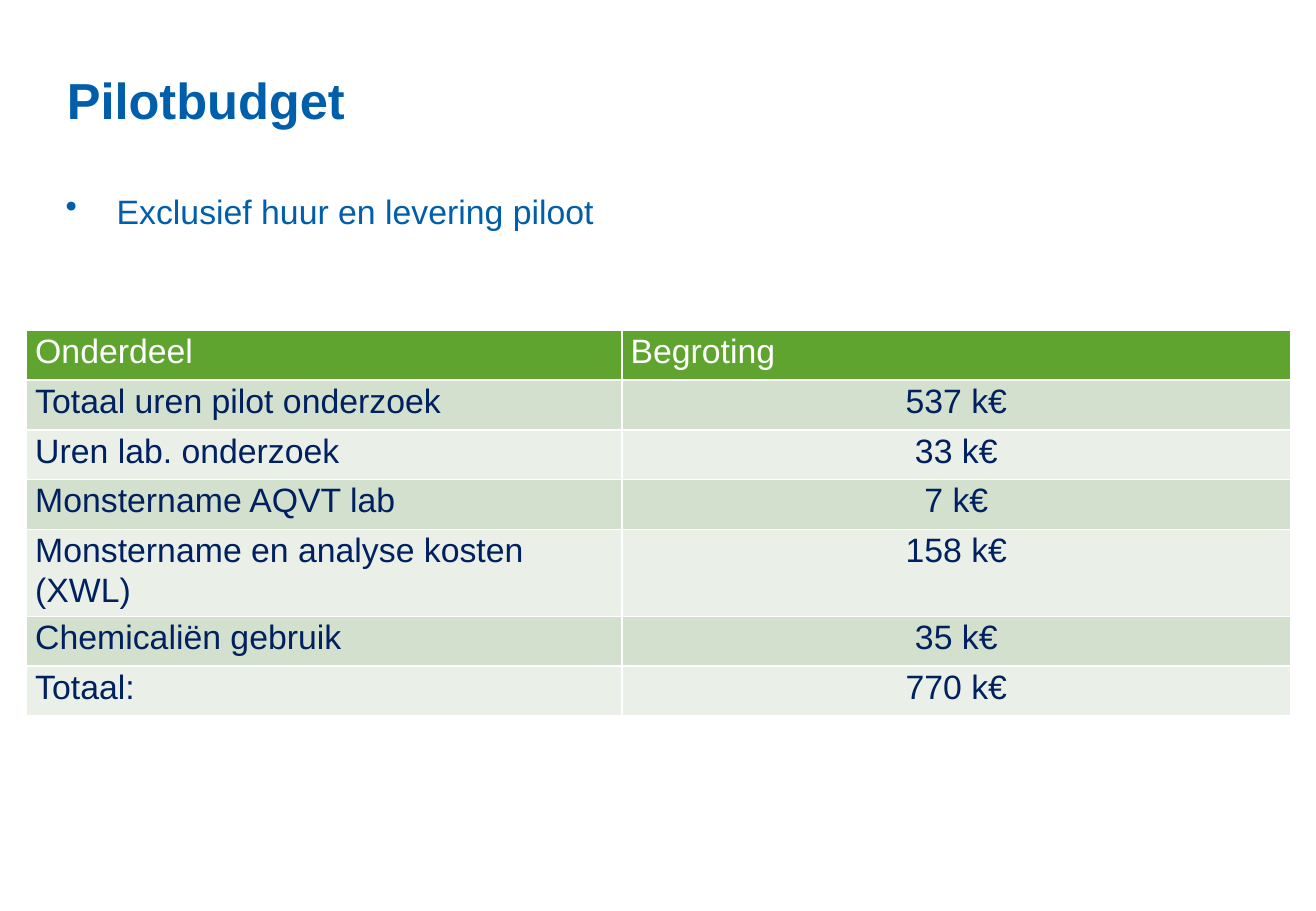
from dataclasses import dataclass

from pptx import Presentation
from pptx.dml.color import RGBColor as RGB
from pptx.enum.text import MSO_ANCHOR as Anchor, PP_ALIGN as Align
from pptx.oxml import parse_xml
from pptx.oxml.ns import nsdecls
from pptx.util import Inches, Pt


@dataclass(frozen=True)
class Theme:
    font: str = "Arial"
    title: int = 30
    body: int = 20
    blue: str = "005EAA"
    navy: str = "002060"
    white: str = "FFFFFF"
    green: str = "5EA42F"
    bands: tuple = ("D2E0CD", "EAF0E8")


class Deck:
    def __init__(self, theme, wide, high):
        self.theme = theme
        self.prs = Presentation()
        self.prs.slide_width = Inches(wide)
        self.prs.slide_height = Inches(high)
        self.slide = self.prs.slides.add_slide(self.prs.slide_layouts[6])

    def style(self, para, size, color, bold=False):
        font = para.font
        font.name = self.theme.font
        font.size = Pt(size)
        font.bold = bold
        font.color.rgb = RGB.from_string(color)

    def text(self, words, box, size, bold=False, anchor=Anchor.TOP, indent=0):
        """Add one paragraph; a positive indent makes it a bullet."""
        frame = self.slide.shapes.add_textbox(*map(Inches, box)).text_frame
        frame.word_wrap = True
        frame.vertical_anchor = anchor
        frame.margin_left = frame.margin_right = Inches(0.11)
        frame.margin_top = frame.margin_bottom = Inches(0.06)
        para = frame.paragraphs[0]
        para.text = words
        if indent:
            props = para._p.get_or_add_pPr()
            props.set("marL", str(Inches(indent)))
            props.set("indent", str(-Inches(indent)))
            props.append(parse_xml(f'<a:buChar {nsdecls("a")} char="•"/>'))
        self.style(para, size, self.theme.blue, bold)

    def edge(self, cell):
        props = cell._tc.get_or_add_tcPr()
        for spot, side in enumerate(("lnL", "lnR", "lnT", "lnB")):
            line = parse_xml(
                f'<a:{side} {nsdecls("a")} w="{Pt(1)}"><a:solidFill>'
                f'<a:srgbClr val="{self.theme.white}"/></a:solidFill></a:{side}>')
            props.insert(spot, line)

    def cell(self, cell, words, fill, color, align):
        cell.margin_left = cell.margin_right = Inches(0.07)
        cell.margin_top = cell.margin_bottom = 0
        cell.fill.solid()
        cell.fill.fore_color.rgb = RGB.from_string(fill)
        self.edge(cell)
        para = cell.text_frame.paragraphs[0]
        para.text = words
        para.alignment = align
        para.line_spacing = 1.07
        self.style(para, self.theme.body, color)

    def table(self, rows, left, top, widths, high):
        theme = self.theme
        grid = self.slide.shapes.add_table(
            len(rows), len(widths), Inches(left), Inches(top),
            Inches(sum(widths)), Inches(high * len(rows))).table
        for col, wide in zip(grid.columns, widths):
            col.width = Inches(wide)
        for r, row in enumerate(rows):
            grid.rows[r].height = Inches(high)
            fill = theme.bands[(r - 1) % 2] if r else theme.green
            color = theme.navy if r else theme.white
            for c, words in enumerate(row):
                align = Align.CENTER if r and c else Align.LEFT
                self.cell(grid.cell(r, c), words, fill, color, align)


BUDGET = [
    ("Onderdeel", "Begroting"),
    ("Totaal uren pilot onderzoek", "537 k€"),
    ("Uren lab. onderzoek", "33 k€"),
    ("Monstername AQVT lab", "7 k€"),
    ("Monstername en analyse kosten (XWL)", "158 k€"),
    ("Chemicaliën gebruik", "35 k€"),
    ("Totaal:", "770 k€"),
]


def main():
    theme = Theme()
    deck = Deck(theme, 10.83, 7.5)
    deck.text("Pilotbudget", (0.44, 0.3, 9.75, 0.83), theme.title,
              bold=True, anchor=Anchor.BOTTOM)
    deck.table(BUDGET, 0.22, 2.72, (4.9, 5.5), 0.41)
    deck.text("Exclusief huur en levering piloot", (0.43, 1.51, 9.75, 0.72),
              theme.body, indent=0.42)
    deck.prs.save("out.pptx")


if __name__ == "__main__":
    main()
